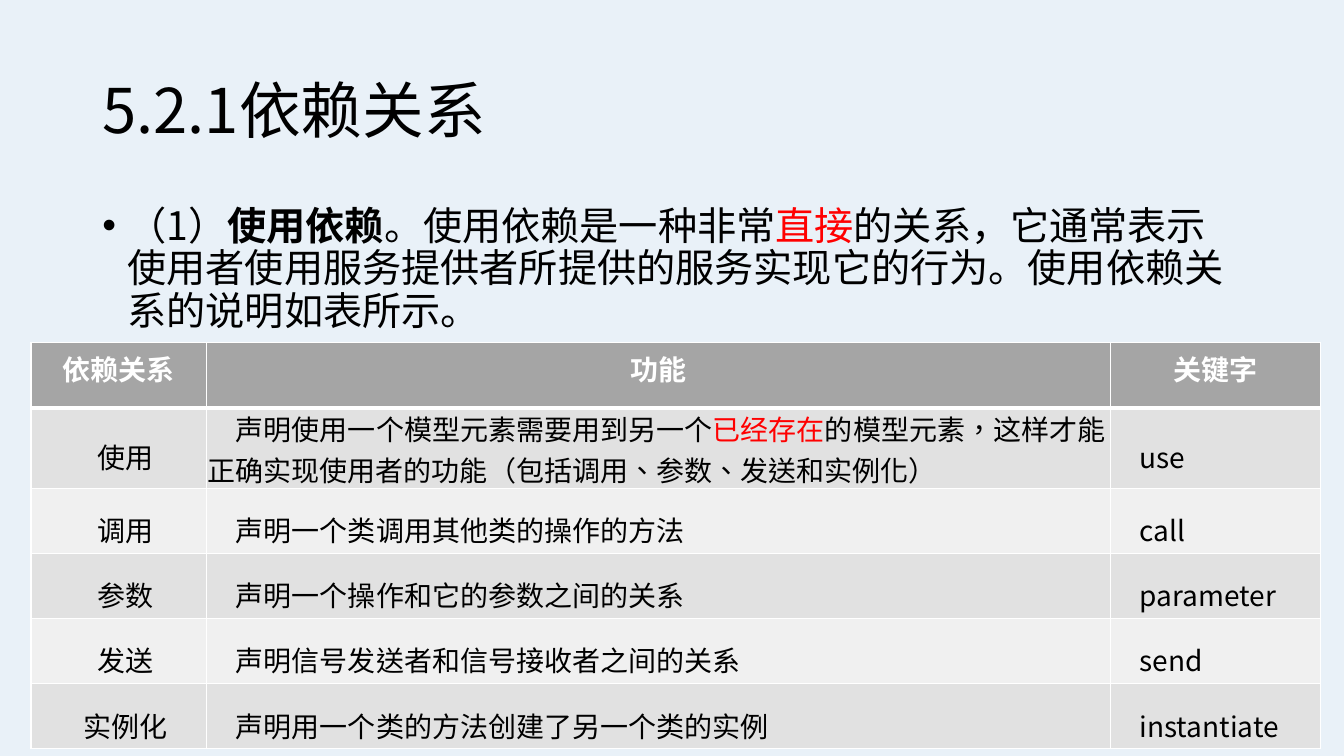
from dataclasses import dataclass

from lxml.etree import SubElement
from pptx import Presentation
from pptx.dml.color import RGBColor
from pptx.enum.lang import MSO_LANGUAGE_ID
from pptx.enum.text import MSO_ANCHOR, PP_ALIGN
from pptx.oxml.ns import qn
from pptx.util import Inches, Pt

FONT = "Noto Sans CJK SC"
COLORS = {
    "background": "E9F1F8",
    "text": "000000",
    "emphasis": "FF0000",
    "header": "A5A5A5",
    "odd_row": "E1E1E1",
    "even_row": "F0F0F0",
    "white": "FFFFFF",
}
SLIDE_WIDTH, SLIDE_HEIGHT = Inches(13.333), Inches(7.5)
GRID_COLUMNS, GRID_ROWS = 160, 90
SINGLE_LINE_HEIGHT, DOUBLE_LINE_HEIGHT = 7.75, 9.6
COLUMN_WIDTHS = (20.9, 107.6, 25)
HEADINGS = ("依赖关系", "功能", "关键字")


@dataclass(frozen=True)
class Span:
    text: str
    color: str = "text"
    bold: bool = False


@dataclass(frozen=True)
class Dependency:
    name: str
    function: tuple[Span, ...]
    keyword: str
    spacing: float = 1.42
    height: float = SINGLE_LINE_HEIGHT


DEPENDENCIES = (
    Dependency("使用", (
        Span("声明使用一个模型元素需要用到另一个"),
        Span("已经存在", "emphasis"),
        Span("的模型元素，这样才能正确实现使用者的功能（包括调用、参数、发送和实例化）"),
    ), "use", spacing=1, height=DOUBLE_LINE_HEIGHT),
    Dependency("调用", (Span("声明一个类调用其他类的操作的方法"),), "call"),
    Dependency("参数", (Span("声明一个操作和它的参数之间的关系"),), "parameter"),
    Dependency("发送", (Span("声明信号发送者和信号接收者之间的关系"),), "send"),
    Dependency("实例化", (Span("声明用一个类的方法创建了另一个类的实例"),), "instantiate"),
)


def across(columns: float) -> int:
    return round(SLIDE_WIDTH * columns / GRID_COLUMNS)


def down(rows: float) -> int:
    return round(SLIDE_HEIGHT * rows / GRID_ROWS)


def write(frame, spans, *, size: float, spacing: float = 1, align=PP_ALIGN.LEFT,
          margin: float = 0, indent: float = 0, bullet: str = "",
          language=MSO_LANGUAGE_ID.SIMPLIFIED_CHINESE) -> None:
    """Fill the first paragraph with formatted spans; indents are in inches."""
    frame.word_wrap = True
    paragraph = frame.paragraphs[0]
    properties = paragraph._p.get_or_add_pPr()
    properties.set("marL", str(Inches(margin)))
    properties.set("indent", str(Inches(indent)))
    if bullet:
        SubElement(properties, qn("a:buFont"), typeface="Arial")
        SubElement(properties, qn("a:buChar"), char=bullet)
    paragraph.alignment = align
    paragraph.line_spacing = spacing
    for span in spans:
        run = paragraph.add_run()
        run.text = span.text
        font = run.font
        font.size = Pt(size)
        font.bold = span.bold
        font.name = FONT
        font.language_id = language
        font.color.rgb = RGBColor.from_string(COLORS[span.color])
        SubElement(run._r.get_or_add_rPr(), qn("a:ea"), typeface=FONT)


def add_text(slide, left: float, top: float, width: float, height: float,
             spans, anchor=MSO_ANCHOR.TOP, **text_format) -> None:
    box = slide.shapes.add_textbox(across(left), down(top), across(width), down(height))
    box.text_frame.vertical_anchor = anchor
    write(box.text_frame, spans, **text_format)


def style_cell(cell, fill: str, top: float = 1, bottom: float = 1) -> None:
    """Set the fill and white borders; border widths are in points."""
    properties = cell._tc.get_or_add_tcPr()
    for side, width in (("L", 1), ("R", 1), ("T", top), ("B", bottom)):
        line = SubElement(properties, qn(f"a:ln{side}"), w=str(Pt(width)))
        solid = SubElement(line, qn("a:solidFill"))
        SubElement(solid, qn("a:srgbClr"), val=COLORS["white"])
    cell.fill.solid()
    cell.fill.fore_color.rgb = RGBColor.from_string(COLORS[fill])


def add_dependency_table(slide) -> None:
    row_heights = [SINGLE_LINE_HEIGHT] + [dependency.height for dependency in DEPENDENCIES]
    table = slide.shapes.add_table(
        len(row_heights), len(HEADINGS), across(3.7), down(40.8),
        across(sum(COLUMN_WIDTHS)), down(sum(row_heights))).table
    for column, width in zip(table.columns, COLUMN_WIDTHS):
        column.width = across(width)
    for row, height in zip(table.rows, row_heights):
        row.height = down(height)

    for column, heading in enumerate(HEADINGS):
        cell = table.cell(0, column)
        style_cell(cell, "header", bottom=3)
        write(cell.text_frame, [Span(heading, "white", True)], size=20, align=PP_ALIGN.CENTER)

    for row, dependency in enumerate(DEPENDENCIES, start=1):
        contents = (
            ([Span(dependency.name)],
             dict(align=PP_ALIGN.CENTER, indent=0.14, spacing=1.42)),
            (dependency.function,
             dict(indent=0.28, spacing=dependency.spacing,
                  language=MSO_LANGUAGE_ID.TRADITIONAL_CHINESE)),
            ([Span(dependency.keyword)], dict(indent=0.28, spacing=1.42)),
        )
        for column, (spans, text_format) in enumerate(contents):
            cell = table.cell(row, column)
            cell.margin_left = cell.margin_right = Inches(0.01)
            cell.margin_top = cell.margin_bottom = 0
            cell.vertical_anchor = MSO_ANCHOR.MIDDLE
            style_cell(cell, "odd_row" if row % 2 else "even_row", top=3 if row == 1 else 1)
            write(cell.text_frame, spans, size=20, **text_format)


def main() -> None:
    presentation = Presentation()
    presentation.slide_width, presentation.slide_height = SLIDE_WIDTH, SLIDE_HEIGHT
    slide = presentation.slides.add_slide(presentation.slide_layouts[6])
    background = slide.background.fill
    background.solid()
    background.fore_color.rgb = RGBColor.from_string(COLORS["background"])

    add_text(slide, 11, 4.8, 138, 17.4, [Span("5.2.1依赖关系")],
             anchor=MSO_ANCHOR.MIDDLE, size=44, spacing=0.9)
    add_text(slide, 11, 24, 138, 57.1, [
        Span("（1）"),
        Span("使用依赖", bold=True),
        Span("。使用依赖是一种非常"),
        Span("直接", "emphasis"),
        Span("的关系，它通常表示使用者使用服务提供者所提供的服务实现它的行为。"
             "使用依赖关系的说明如表所示。"),
    ], size=28, spacing=0.9, margin=0.25, indent=-0.25, bullet="•")
    add_dependency_table(slide)
    presentation.save("out.pptx")


if __name__ == "__main__":
    main()
